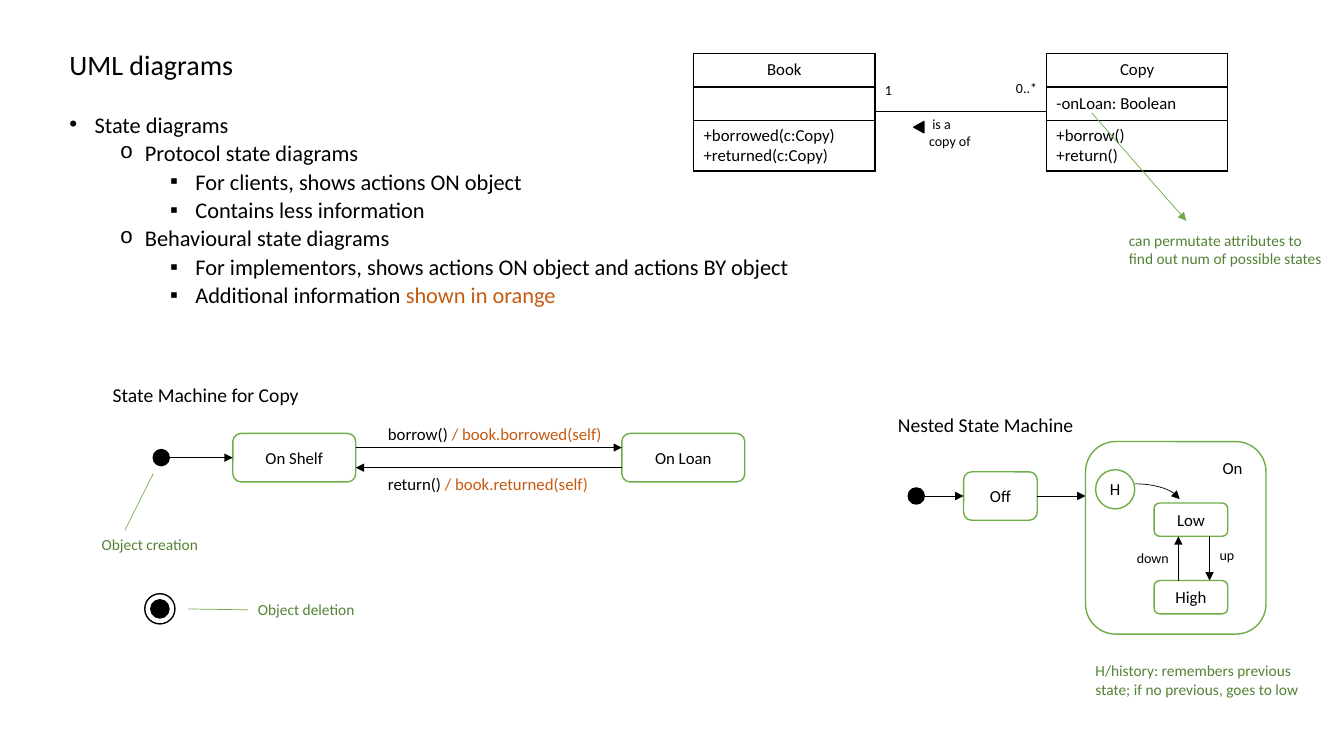
from lxml import etree
from pptx import Presentation
from pptx.dml import color
from pptx.enum import shapes, text
from pptx.oxml import ns
from pptx.util import Pt

BLACK, WHITE, GREEN, MOSS, ORANGE = "000000", "FFFFFF", "70AD47", "548235", "C55A11"
KIND = shapes.MSO_SHAPE
LEFT, RIGHT = 1, 3


def paint(tone):
    return color.RGBColor.from_string(tone)


def child(node, tag, **attrs):
    return etree.SubElement(node, ns.qn(tag), attrs)


def style(run, size, tone):
    run.font.name = "Calibri"
    run.font.size = Pt(size)
    run.font.color.rgb = paint(tone)


def fill_text(para, parts, size):
    """Write (words, colour) parts into one paragraph."""
    for words, tone in parts:
        run = para.add_run()
        run.text = words
        style(run, size, tone)


def label(slide, x, y, w, h, words, size=12, tone=BLACK):
    frame = slide.shapes.add_textbox(Pt(x), Pt(y), Pt(w), Pt(h)).text_frame
    frame.word_wrap = True
    parts = [(words, tone)] if isinstance(words, str) else words
    fill_text(frame.paragraphs[0], parts, size)
    return frame


def block(slide, kind, x, y, w, h, fill=WHITE, edge=GREEN, words=""):
    shape = slide.shapes.add_shape(kind, Pt(x), Pt(y), Pt(w), Pt(h))
    shape.shadow.inherit = False
    if fill:
        shape.fill.solid()
        shape.fill.fore_color.rgb = paint(fill)
    else:
        shape.fill.background()
    shape.line.color.rgb = paint(edge)
    shape.line.width = Pt(1)
    if words:
        frame = shape.text_frame
        frame.margin_left = frame.margin_right = 0
        frame.margin_top = frame.margin_bottom = 0
        frame.vertical_anchor = text.MSO_ANCHOR.MIDDLE
        frame.paragraphs[0].alignment = text.PP_ALIGN.CENTER
        fill_text(frame.paragraphs[0], [(words, BLACK)], 12)
    return shape


def state(slide, x, y, w, h, words):
    return block(slide, KIND.ROUNDED_RECTANGLE, x, y, w, h, words=words)


def dot(slide, x, y, size, fill=BLACK):
    """Circle centred on x, y."""
    return block(slide, KIND.OVAL, x - size / 2, y - size / 2, size, size, fill, BLACK)


def tip(shape):
    """Arrowhead at the end of an outline."""
    child(shape._element.spPr.get_or_add_ln(), "a:tailEnd", type="triangle")


def link(slide, x1, y1, x2, y2, tone=BLACK, arrow=True, start=None, end=None):
    """Straight line; start and end are (shape, side) joints."""
    line = slide.shapes.add_connector(
        shapes.MSO_CONNECTOR.STRAIGHT, Pt(x1), Pt(y1), Pt(x2), Pt(y2))
    if start:
        line.begin_connect(*start)
    if end:
        line.end_connect(*end)
    line.line.color.rgb = paint(tone)
    line.line.width = Pt(0.5)
    if arrow:
        tip(line)
    child(line._element.spPr, "a:effectLst")


def uml(slide, x, y, w, rows):
    """Class box: name, attributes, operations."""
    highs = (24, 24, 36)
    table = slide.shapes.add_table(3, 1, Pt(x), Pt(y), Pt(w), Pt(sum(highs))).table
    table.first_row = table.horz_banding = False
    for i, words in enumerate(rows):
        table.rows[i].height = Pt(highs[i])
        cell = table.cell(i, 0)
        cell.margin_top = cell.margin_bottom = 0
        cell.vertical_anchor = text.MSO_ANCHOR.MIDDLE
        cell.text_frame.text = words
        for para in cell.text_frame.paragraphs:
            if i == 0:
                para.alignment = text.PP_ALIGN.CENTER
            for run in para.runs:
                style(run, 12, BLACK)
        props = cell._tc.get_or_add_tcPr()
        for side in ("a:lnL", "a:lnR", "a:lnT", "a:lnB"):
            edge = child(props, side, w=str(Pt(1)))
            child(child(edge, "a:solidFill"), "a:srgbClr", val=BLACK)
        cell.fill.background()


def outline(slide, x, y, w):
    # Title
    head = label(slide, x, y, w, 37, "UML diagrams", 20)
    head.vertical_anchor = text.MSO_ANCHOR.MIDDLE
    head.paragraphs[0].line_spacing = 0.9
    # Bulleted list
    items = [
        (0, "State diagrams"),
        (1, "Protocol state diagrams"),
        (2, "For clients, shows actions ON object"),
        (2, "Contains less information"),
        (1, "Behavioural state diagrams"),
        (2, "For implementors, shows actions ON object and actions BY object"),
        (2, "Additional information "),
    ]
    marks = [("Arial", "•"), ("Courier New", "o"), ("Arial", "▪")]
    frame = label(slide, x, y + 50.4, w, 156, [])
    for i, (level, words) in enumerate(items):
        para = frame.add_paragraph() if i else frame.paragraphs[0]
        para.level = level
        para.line_spacing = 0.8
        para.space_before = Pt(5 if level else 10)
        props = para._p.get_or_add_pPr()
        props.set("marL", str(Pt(18 + 36 * level)))
        props.set("indent", str(-Pt(18)))
        font, mark = marks[level]
        child(props, "a:buFont", typeface=font)
        child(props, "a:buChar", char=mark)
        fill_text(para, [(words, BLACK)], 16)
    fill_text(para, [("shown in orange", ORANGE)], 16)


def classes(slide, x, y):
    w, gap = 129.6, 122.4
    far = x + w + gap
    uml(slide, x, y, w, ("Book", "", "+borrowed(c:Copy)\n+returned(c:Copy)"))
    uml(slide, far, y, w, ("Copy", "-onLoan: Boolean", "+borrow()\n+return()"))
    # Association
    link(slide, x + w, y + 41, far, y + 41, arrow=False)
    label(slide, x + 161.2, y + 41, 48, 32, " is a copy of", 10)
    label(slide, x + w, y + 16.5, 24.5, 19.4, "1", 10)
    label(slide, far - 28.8, y + 15, 48, 19.4, "0..*", 10)
    block(slide, KIND.ISOSCELES_TRIANGLE, x + 157, y + 49, 7.9, 7.2, BLACK, BLACK).rotation = 270
    # Remark
    link(slide, far + 32.4, y + 42.4, far + 100, y + 119.5, GREEN)
    label(slide, far + 51.8, y + 123, 154.8, 33.8,
          "can permutate attributes to find out num of possible states", 11, MOSS)


def machine(slide, x, y):
    label(slide, x, y, 160, 24.5, "State Machine for Copy", 14)
    # States
    mid, w, h = y + 56.9, 87.8, 34.6
    near, far = x + 92.9, x + 370.8
    dot(slide, x + 41.8, mid, 11.5)
    shelf = state(slide, near, mid - h / 2, w, h, "On Shelf")
    state(slide, far, mid - h / 2, w, h, "On Loan")
    link(slide, x + 47.5, mid, near, mid, end=(shelf, LEFT))
    # Transitions
    link(slide, near + w, mid - 7.2, far, mid - 7.2)
    link(slide, far, mid + 7.2, near + w, mid + 7.2)
    for top, call, act in ((mid - 28.1, "borrow() ", "/ book.borrowed(self)"),
                           (mid + 7.9, "return() ", "/ book.returned(self)")):
        label(slide, near + w + 15.9, top, 174, 21.6, [(call, BLACK), (act, ORANGE)])
    # Legend
    label(slide, x - 7.9, y + 108.7, 100.8, 20.9, "Object creation", 11, MOSS)
    link(slide, x + 36, y + 68.4, x + 15.9, y + 108.7, GREEN, False)
    dot(slide, x + 40.8, y + 164.9, 21.6, WHITE)
    dot(slide, x + 40.8, y + 164.9, 13)
    label(slide, x + 103.7, y + 154.8, 100.8, 20.9, "Object deletion", 11, MOSS)
    link(slide, x + 61.2, y + 165, x + 103.7, y + 165.6, GREEN, False)


def nested(slide, x, y):
    label(slide, x, y, 150, 24.5, "Nested State Machine", 14)
    # Outer states
    mid, on = y + 62.7, x + 141.1
    dot(slide, x + 20.2, mid, 11.5)
    off = state(slide, x + 54, mid - 17.3, 52.6, 34.6, "Off")
    link(slide, x + 25.9, mid, x + 54, mid, end=(off, LEFT))
    state(slide, on, y + 23.8, 128.9, 137.5, "")
    link(slide, x + 106.6, mid, on, mid, start=(off, RIGHT))
    label(slide, on + 90.8, y + 31.7, 35.3, 21.6, "On")
    # Inner states
    low, high, h = y + 67.7, y + 123.1, 23.8
    for top, words in ((low, "Low"), (high, "High")):
        state(slide, on + 49, top, 52.6, h, words)
    link(slide, on + 88.6, low + h, on + 88.6, high)
    link(slide, on + 66.3, high, on + 66.3, low + h)
    label(slide, on + 88.6, y + 95, 35.3, 19.4, "up", 10)
    label(slide, on + 29.5, y + 97.2, 42.5, 19.4, "down", 10)
    # History
    block(slide, KIND.OVAL, on + 7.2, y + 43.9, 28, 28, words="H")
    arc = block(slide, KIND.ARC, on + 2.9, y + 54, 65.5, 29.5, None, BLACK)
    arc.adjustments[0], arc.adjustments[1] = 162, 211.87
    arc.line.width = Pt(0.5)
    tip(arc)
    label(slide, on, y + 177.1, 164.9, 33.8,
          "H/history: remembers previous state; if no previous, goes to low", 11, MOSS)


def main():
    deck = Presentation()
    deck.slide_width, deck.slide_height = Pt(960), Pt(540)
    slide = deck.slides.add_slide(deck.slide_layouts[6])
    outline(slide, 42.5, 28.8, 828)
    classes(slide, 495.4, 38.2)
    machine(slide, 73.4, 270)
    nested(slide, 634.3, 291.6)
    deck.save("out.pptx")


if __name__ == "__main__":
    main()
